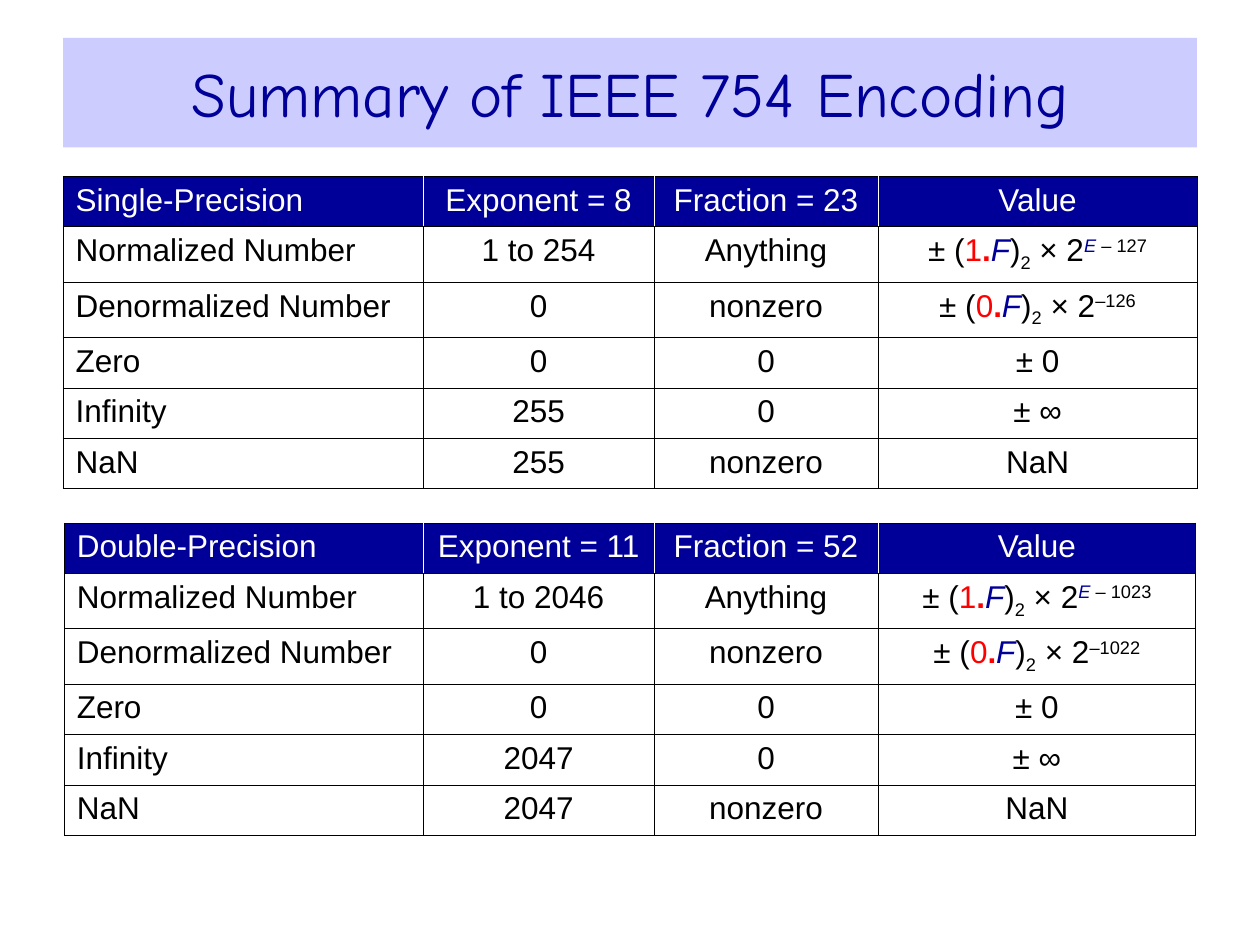
"""Build the slide that summarises IEEE 754 encoding in two tables."""
from lxml import etree
from pptx import Presentation
from pptx import util as u
from pptx.dml.color import RGBColor
from pptx.enum import text
from pptx.oxml.ns import qn

NAVY = RGBColor(0x00, 0x00, 0x99)
LAVENDER = RGBColor(0xCC, 0xCC, 0xFF)
RED = RGBColor(0xFF, 0x00, 0x00)
BLACK = RGBColor(0x00, 0x00, 0x00)
WHITE = RGBColor(0xFF, 0xFF, 0xFF)

TITLE = "Summary of IEEE 754 Encoding"
# name, exponent bits, fraction bits, normal range, top exponent,
# normal bias, denormal power, left, top, column widths
FORMATS = [
    ("Single-Precision", 8, 23, "1 to 254", "255", "– 127", "–126",
     0.5, 1.4, (2.86, 1.83, 1.78, 2.53)),
    ("Double-Precision", 11, 52, "1 to 2046", "2047", "– 1023", "–1022",
     0.51, 4.15, (2.85, 1.83, 1.78, 2.52)),
]
ROW_HEIGHTS = (0.4, 0.44, 0.44, 0.4, 0.4, 0.4)
# colour, bold, italic, baseline shift
STYLES = {
    "plain": (BLACK, False, False, 0),
    "header": (WHITE, False, False, 0),
    "digit": (RED, False, False, 0),
    "point": (RED, True, False, 0),
    "fraction": (NAVY, False, True, 0),
    "sub": (BLACK, False, False, -25000),
    "sup": (BLACK, False, False, 30000),
    "exponent": (NAVY, False, True, 30000),
}


def formula(digit, *power):
    return [("± (", "plain"), (digit, "digit"), (".", "point"), ("F", "fraction"),
            (")", "plain"), ("2", "sub"), (" × 2", "plain"), *power]


def table_rows(name, exponent, fraction, normal, top, bias, denormal):
    return [
        (name, f"Exponent = {exponent}", f"Fraction = {fraction}", "Value"),
        ("Normalized Number", normal, "Anything",
         formula("1", ("E ", "exponent"), (bias, "sup"))),
        ("Denormalized Number", "0", "nonzero", formula("0", (denormal, "sup"))),
        ("Zero", "0", "0", "± 0"),
        ("Infinity", top, "0", "± ∞"),
        ("NaN", top, "nonzero", "NaN"),
    ]


def add_border(cell, side, color):
    ln = etree.SubElement(cell._tc.get_or_add_tcPr(), qn(f"a:ln{side}"),
                          w=str(u.Pt(0.45)))
    fill = etree.SubElement(ln, qn("a:solidFill"))
    etree.SubElement(fill, qn("a:srgbClr"), val=str(color))


def write_cell(cell, content, is_header, is_first, is_last):
    if isinstance(content, str):
        content = [(content, "header" if is_header else "plain")]
    p = cell.text_frame.paragraphs[0]
    p.alignment = text.PP_ALIGN.LEFT if is_first else text.PP_ALIGN.CENTER
    for words, style in content:
        r = p.add_run()
        r.text = words
        r.font.name, r.font.size = "Arial", u.Pt(18)
        r.font.color.rgb, r.font.bold, r.font.italic, shift = STYLES[style]
        if shift:
            r.font._element.set("baseline", str(shift))
    inner = WHITE if is_header else BLACK
    add_border(cell, "L", BLACK if is_first else inner)
    add_border(cell, "R", BLACK if is_last else inner)
    add_border(cell, "T", BLACK)
    add_border(cell, "B", BLACK)
    if is_header:
        cell.fill.solid()
        cell.fill.fore_color.rgb = NAVY
    else:
        cell.fill.background()


def add_format_table(slide, rows, left, top, widths):
    table = slide.shapes.add_table(
        len(rows), len(widths), u.Inches(left), u.Inches(top),
        u.Inches(sum(widths)), u.Inches(sum(ROW_HEIGHTS))).table
    table.first_row = table.horz_banding = False
    for column, width in zip(table.columns, widths):
        column.width = u.Inches(width)
    for i, (row, height) in enumerate(zip(rows, ROW_HEIGHTS)):
        table.rows[i].height = u.Inches(height)
        for j, content in enumerate(row):
            write_cell(table.cell(i, j), content, i == 0, j == 0,
                       j == len(row) - 1)


def add_title(slide):
    sp = slide.shapes.title
    sp.left, sp.top = u.Inches(0.5), u.Inches(0.3)
    sp.width, sp.height = u.Inches(9), u.Inches(0.87)
    sp.fill.solid()
    sp.fill.fore_color.rgb = LAVENDER
    tf = sp.text_frame
    tf.text = TITLE
    tf.vertical_anchor = text.MSO_ANCHOR.MIDDLE
    p = tf.paragraphs[0]
    p.alignment = text.PP_ALIGN.CENTER
    font = p.runs[0].font
    font.name, font.size, font.color.rgb = "Comic Neue", u.Pt(36), NAVY


def main():
    prs = Presentation()
    prs.slide_width, prs.slide_height = u.Inches(10), u.Inches(7.5)
    slide = prs.slides.add_slide(prs.slide_layouts[5])
    add_title(slide)
    for *facts, left, top, widths in FORMATS:
        add_format_table(slide, table_rows(*facts), left, top, widths)
    prs.save("out.pptx")


if __name__ == "__main__":
    main()
